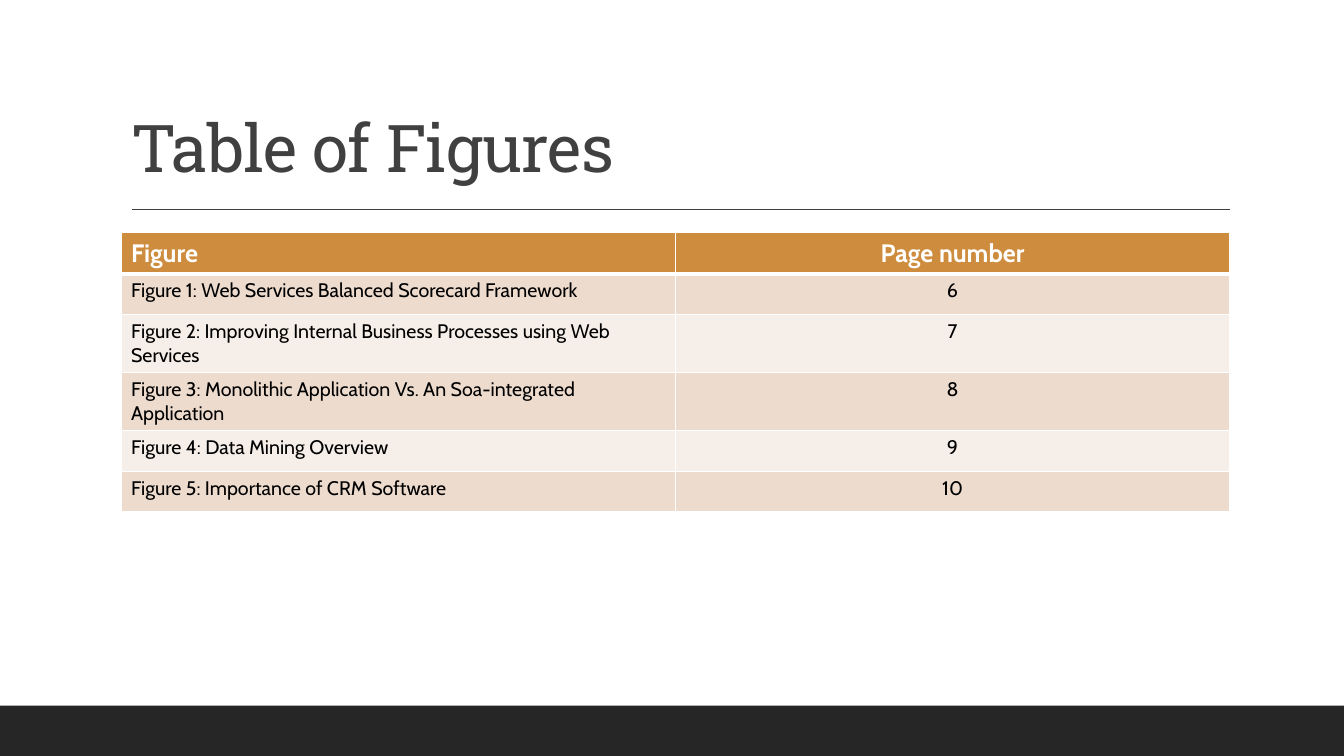
"""Build the Table of Figures slide."""
from dataclasses import dataclass
from typing import Optional

from lxml.etree import SubElement
from pptx import Presentation
from pptx.dml.color import RGBColor as Rgb
from pptx.enum.shapes import MSO_CONNECTOR as Connector, MSO_SHAPE as Preset
from pptx.enum.text import MSO_ANCHOR as Anchor, MSO_AUTO_SIZE as AutoSize, PP_ALIGN as Align
from pptx.oxml.ns import qn
from pptx.slide import Slide
from pptx.table import _Cell as Cell
from pptx.text.text import TextFrame
from pptx.util import Pt


@dataclass(frozen=True)
class Theme:
    heading_font: str = "Roboto Slab"
    body_font: str = "Cabin"
    title_size: float = 47
    header_size: float = 18
    entry_size: float = 14
    ink: str = "404040"
    entry_ink: str = "000000"
    white: str = "FFFFFF"
    footer: str = "262626"
    header: str = "CE8D3E"
    bands: tuple[str, str] = ("EDDBCE", "F6EEE8")


@dataclass(frozen=True)
class Figure:
    caption: str
    page: int


THEME = Theme()
WIDTH, HEIGHT = 960, 540
LEFT, CONTENT_WIDTH = 86.4, 792
ROW_HEIGHT = 29.2
FIGURES = [
    Figure("Web Services Balanced Scorecard Framework", 6),
    Figure("Improving Internal Business Processes using Web Services", 7),
    Figure("Monolithic Application Vs. An Soa-integrated Application", 8),
    Figure("Data Mining Overview", 9),
    Figure("Importance of CRM Software", 10),
]


def write(frame: TextFrame, text: str, *, size: float, color: str,
          font: str = THEME.body_font, bold: bool = False, align: Align = Align.LEFT,
          line_spacing: Optional[float] = None, tracking: float = 0) -> None:
    """Put one formatted paragraph into a text frame."""
    paragraph = frame.paragraphs[0]
    paragraph.alignment = align
    paragraph.line_spacing = line_spacing
    run = paragraph.add_run()
    run.text = text
    run.font.name = font
    run.font.size = Pt(size)
    run.font.bold = bold
    run.font.color.rgb = Rgb.from_string(color)
    if tracking:
        run.font._element.set("spc", str(round(tracking * 100)))


def style_cell(cell: Cell, fill: str, top: float, bottom: float) -> None:
    """Fill a cell and give it white borders."""
    properties = cell._tc.get_or_add_tcPr()
    for side, width in (("L", 1), ("R", 1), ("T", top), ("B", bottom)):
        border = SubElement(properties, qn(f"a:ln{side}"), w=str(Pt(width)))
        solid = SubElement(border, qn("a:solidFill"))
        SubElement(solid, qn("a:srgbClr"), val=THEME.white)
    cell.fill.solid()
    cell.fill.fore_color.rgb = Rgb.from_string(fill)


def add_frame(slide: Slide) -> None:
    """Draw the footer bar and the rule under the title."""
    footer = slide.shapes.add_shape(Preset.RECTANGLE, 0, Pt(504), Pt(WIDTH), Pt(36))
    footer.shadow.inherit = False
    footer.fill.solid()
    footer.fill.fore_color.rgb = Rgb.from_string(THEME.footer)
    footer.line.fill.background()
    rule = slide.shapes.add_connector(
        Connector.STRAIGHT, Pt(94.3), Pt(149.5), Pt(878.8), Pt(149.5))
    rule.line.color.rgb = Rgb.from_string(THEME.ink)
    rule.line.width = Pt(1)
    SubElement(rule._element.spPr, qn("a:effectLst"))


def add_title(slide: Slide, text: str) -> None:
    """Place and format the title placeholder."""
    title = slide.shapes.title
    title.left, title.top = Pt(LEFT), Pt(22.5)
    title.width, title.height = Pt(CONTENT_WIDTH), Pt(114.3)
    frame = title.text_frame
    frame.word_wrap = True
    frame.auto_size = AutoSize.NONE
    frame.vertical_anchor = Anchor.BOTTOM
    write(frame, text, size=THEME.title_size, color=THEME.ink,
          font=THEME.heading_font, line_spacing=0.9, tracking=-0.5)


def add_figures(slide: Slide, figures: list[Figure]) -> None:
    """Draw the table that lists each figure and its page."""
    rows = [("Figure", "Page number")]
    rows += [(f"Figure {number}: {figure.caption}", str(figure.page))
             for number, figure in enumerate(figures, 1)]
    table = slide.shapes.add_table(
        len(rows), 2, Pt(LEFT), Pt(166.3), Pt(CONTENT_WIDTH), Pt(ROW_HEIGHT * len(rows))).table
    for index, texts in enumerate(rows):
        table.rows[index].height = Pt(ROW_HEIGHT)
        is_header = index == 0
        fill = THEME.header if is_header else THEME.bands[(index - 1) % 2]
        for column, text in enumerate(texts):
            cell = table.cell(index, column)
            style_cell(cell, fill, top=3 if index == 1 else 1, bottom=3 if is_header else 1)
            write(cell.text_frame, text, bold=is_header,
                  size=THEME.header_size if is_header else THEME.entry_size,
                  color=THEME.white if is_header else THEME.entry_ink,
                  align=Align.CENTER if column else Align.LEFT)


def main() -> None:
    """Build and save the presentation."""
    deck = Presentation()
    deck.slide_width, deck.slide_height = Pt(WIDTH), Pt(HEIGHT)
    slide = deck.slides.add_slide(deck.slide_layouts.get_by_name("Title Only"))
    add_frame(slide)
    add_title(slide, "Table of Figures")
    add_figures(slide, FIGURES)
    deck.save("out.pptx")


if __name__ == "__main__":
    main()
